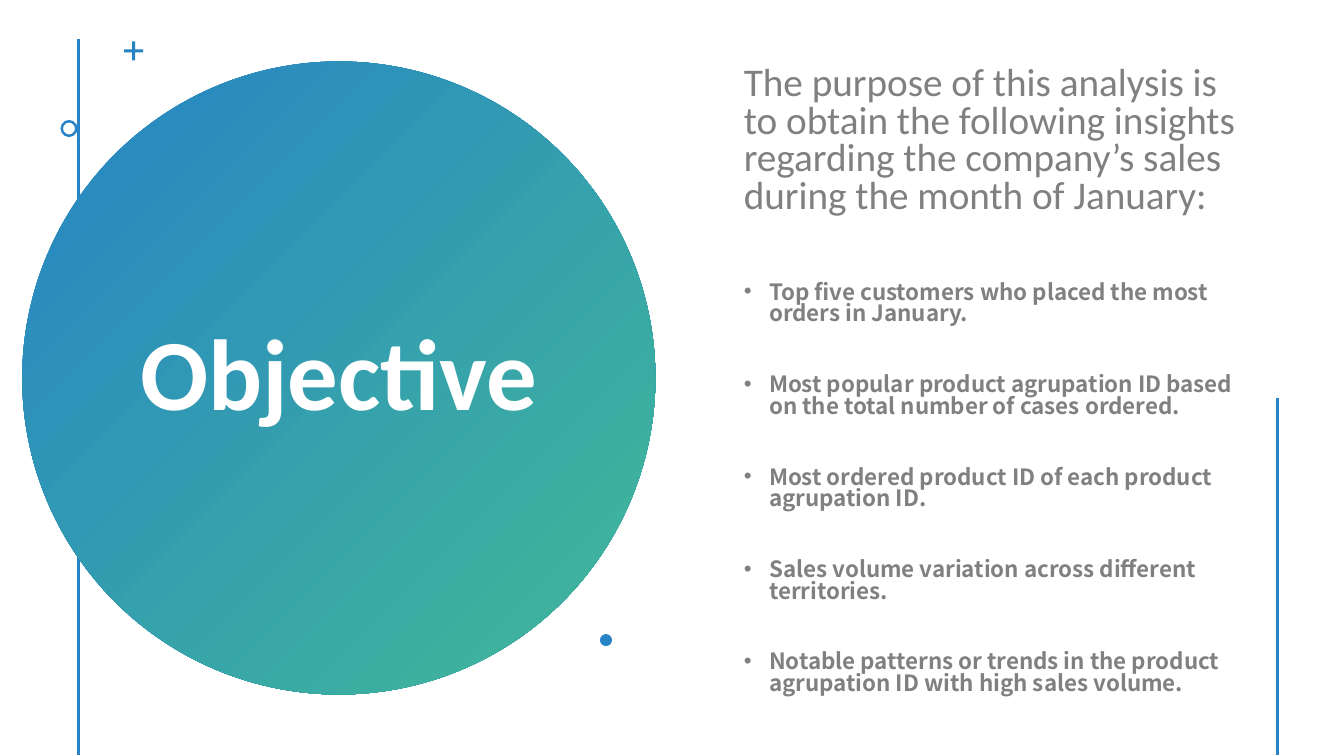
from dataclasses import dataclass

from lxml import etree
from pptx import Presentation
from pptx.dml.color import RGBColor
from pptx.enum.shapes import MSO_CONNECTOR, MSO_SHAPE
from pptx.enum.text import MSO_ANCHOR, PP_ALIGN
from pptx.oxml.ns import qn
from pptx.util import Inches, Pt

LINE = MSO_CONNECTOR.STRAIGHT
OVAL = MSO_SHAPE.OVAL
RING = MSO_SHAPE.DONUT
CROSS = MSO_SHAPE.CROSS
MIDDLE, TOP = MSO_ANCHOR.MIDDLE, MSO_ANCHOR.TOP
CENTER, LEFT = PP_ALIGN.CENTER, PP_ALIGN.LEFT


@dataclass(frozen=True)
class Theme:
    blue: RGBColor = RGBColor(0x26, 0x83, 0xC6)
    green: RGBColor = RGBColor(0x42, 0xBA, 0x97)
    grey: RGBColor = RGBColor(0x80, 0x80, 0x80)
    white: RGBColor = RGBColor(0xFF, 0xFF, 0xFF)
    font: str = "Calibri"
    list_font: str = "Noto Sans CJK SC"
    title: int = 72
    lead: int = 28
    item: int = 16
    rule: int = 2


THEME = Theme()
INTRO = (
    "The purpose of this analysis is to obtain the following insights "
    "regarding the company’s sales during the month of January:"
)
GOALS = [
    "Top five customers who placed the most orders in January.",
    "Most popular product agrupation ID based on the total number of cases ordered.",
    "Most ordered product ID of each product agrupation ID.",
    "Sales volume variation across different territories.",
    "Notable patterns or trends in the product agrupation ID with high sales volume.",
]


def add_rule(slide, x, top, bottom):
    rule = slide.shapes.add_connector(
        LINE, Inches(x), Inches(top), Inches(x), Inches(bottom)
    )
    rule.line.color.rgb = THEME.blue
    rule.line.width = Pt(THEME.rule)
    props = rule._element.spPr
    etree.SubElement(props, qn("a:effectLst"))


def add_mark(slide, kind, x, y, size, adjust=None):
    """Add a square, unlined blue shape and return it."""
    mark = slide.shapes.add_shape(
        kind, Inches(x), Inches(y), Inches(size), Inches(size)
    )
    mark.shadow.inherit = False
    mark.fill.solid()
    mark.fill.fore_color.rgb = THEME.blue
    mark.line.fill.background()
    if adjust is not None:
        mark.adjustments[0] = adjust
    return mark


def add_frame(slide, box, anchor):
    frame = slide.shapes.add_textbox(*map(Inches, box)).text_frame
    frame.word_wrap = True
    frame.vertical_anchor = anchor
    return frame


def add_run(para, text, font, size, color, bold=False):
    run = para.add_run()
    run.text = text
    run.font.name = font
    run.font.size = Pt(size)
    run.font.color.rgb = color
    run.font.bold = bold


def add_bullet(para):
    props = para._p.get_or_add_pPr()
    props.set("marL", str(Inches(0.25)))
    props.set("indent", str(-Inches(0.25)))
    etree.SubElement(props, qn("a:buFont")).set("typeface", "Arial")
    etree.SubElement(props, qn("a:buChar")).set("char", "•")


def draw_title(slide, x, y, size):
    """Draw the gradient disc with its title and small marks."""
    add_rule(slide, x + 0.56, y - 0.22, 7.49)
    disc = add_mark(slide, OVAL, x, y, size)
    disc.fill.gradient()
    disc.fill.gradient_angle = 315
    for stop, color in zip(disc.fill.gradient_stops, (THEME.blue, THEME.green)):
        stop.color.rgb = color

    frame = add_frame(slide, (x, y + 0.8, size, 4.67), MIDDLE)
    para = frame.paragraphs[0]
    para.alignment = CENTER
    para.line_spacing = 0.9
    add_run(para, "Objective", THEME.font, THEME.title, THEME.white, True)

    add_mark(slide, CROSS, x + 1.01, y - 0.2, 0.19, 0.42)
    add_mark(slide, RING, x + 0.38, y + 0.58, 0.17, 0.15)
    add_mark(slide, OVAL, x + 5.73, y + 5.68, 0.12)


def draw_goals(slide, x, y, width, height):
    frame = add_frame(slide, (x, y, width, height), TOP)
    frame.margin_top = Inches(0.02)
    intro = frame.paragraphs[0]
    intro.alignment = LEFT
    intro.line_spacing = 0.8
    intro.space_after = Pt(12)
    add_run(intro, INTRO, THEME.font, THEME.lead, THEME.grey)

    for goal in GOALS:
        para = frame.add_paragraph()
        para.alignment = LEFT
        para.line_spacing = Pt(15.4)
        para.space_before = Pt(35.2)
        add_bullet(para)
        add_run(para, goal, THEME.list_font, THEME.item, THEME.grey, True)

    add_rule(slide, x + width + 0.19, y + 3.31, 7.49)


def main():
    deck = Presentation()
    deck.slide_width = Inches(13.33)
    deck.slide_height = Inches(7.5)
    slide = deck.slides.add_slide(deck.slide_layouts[6])
    draw_title(slide, 0.22, 0.61, 6.28)
    draw_goals(slide, 7.28, 0.64, 5.2, 6.64)
    deck.save("out.pptx")


if __name__ == "__main__":
    main()
